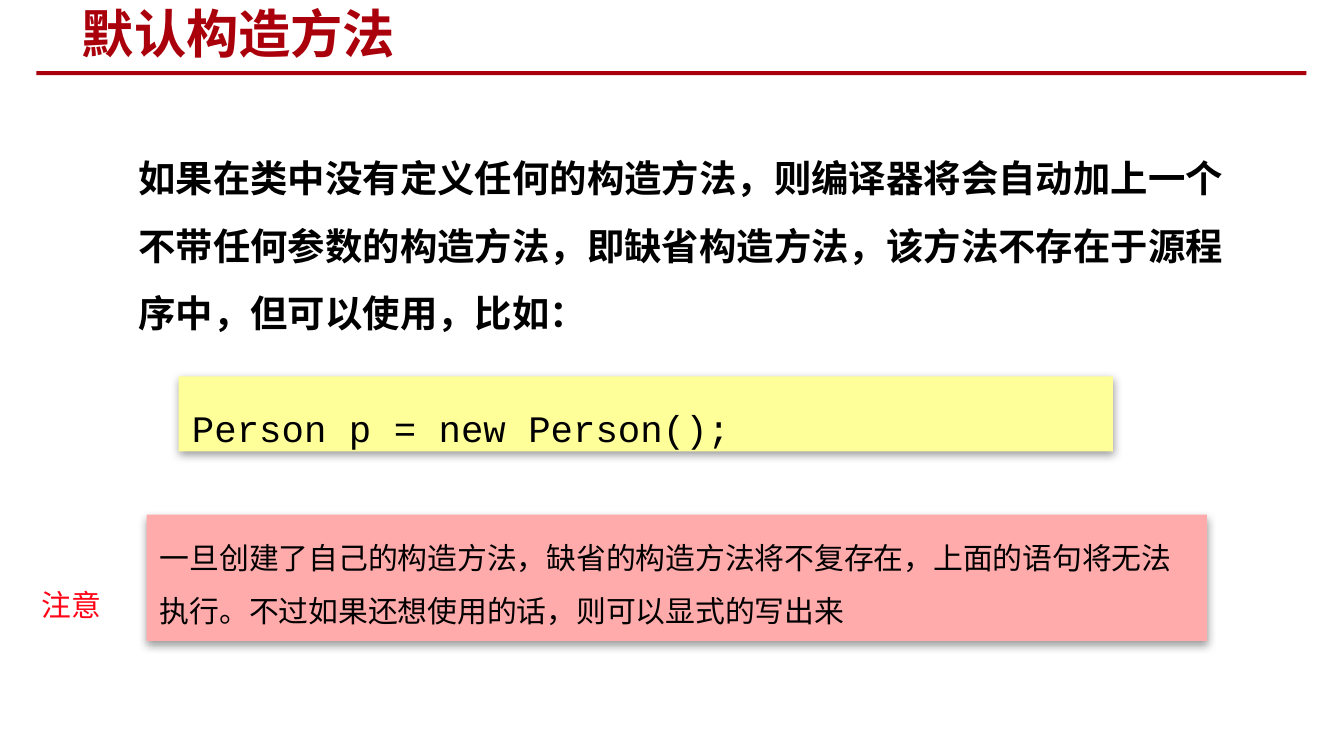
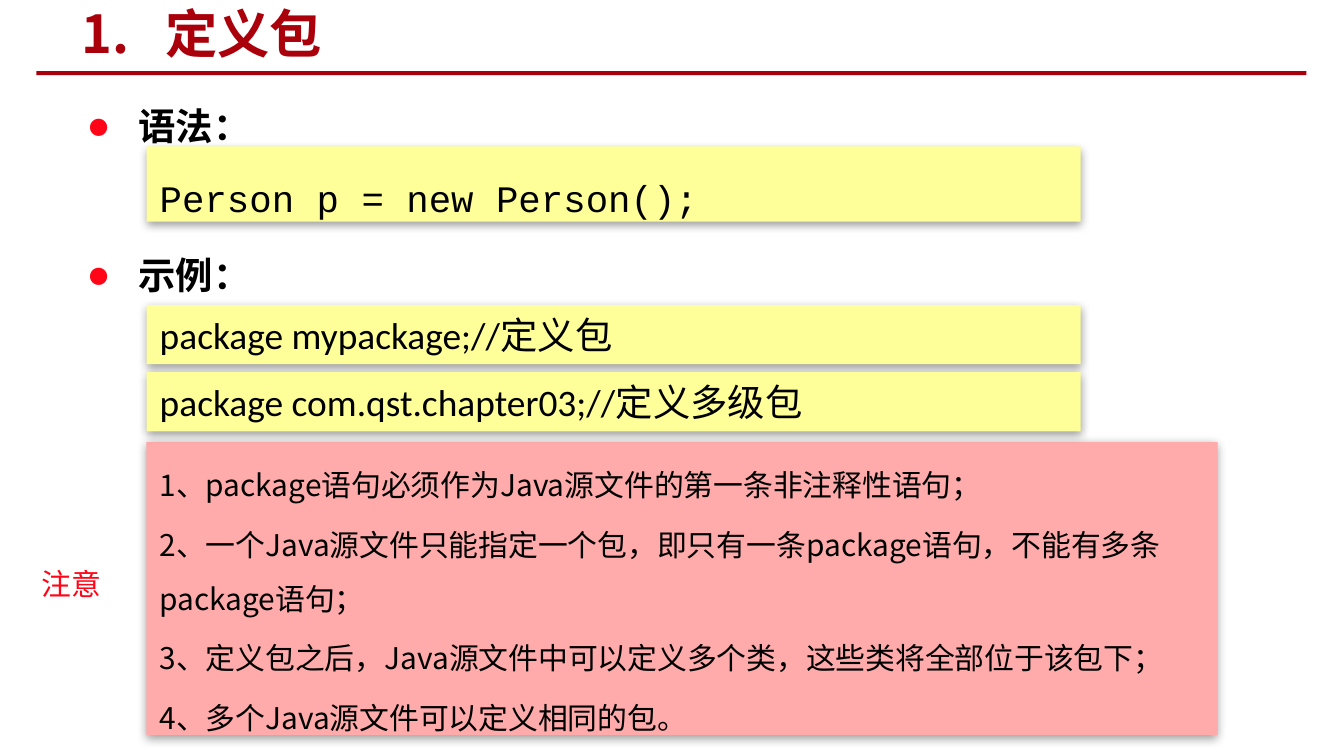
from lxml import etree
from pptx import Presentation
from pptx.dml.color import RGBColor
from pptx.enum.shapes import MSO_SHAPE
from pptx.enum.text import MSO_ANCHOR, MSO_AUTO_SIZE, PP_ALIGN
from pptx.oxml import parse_xml
from pptx.oxml.ns import qn
from pptx.util import Inches, Pt

RECTANGLE = MSO_SHAPE.RECTANGLE
TOP, MIDDLE = MSO_ANCHOR.TOP, MSO_ANCHOR.MIDDLE
NO_AUTOFIT = MSO_AUTO_SIZE.NONE
LEFT = PP_ALIGN.LEFT

CHINESE_FONT = "Noto Sans CJK SC"
THEME = {
    "dark red": RGBColor(0xAA, 0x00, 0x0B),
    "red": RGBColor(0xFF, 0x05, 0x17),
    "black": RGBColor(0x00, 0x00, 0x00),
    "yellow": RGBColor(0xFF, 0xFF, 0x99),
    "pink": RGBColor(0xFF, 0xAA, 0xAB),
    # font, size, line height, gap between paragraphs (points), bold, colour
    "title": (CHINESE_FONT, 28, None, 0, True, "dark red"),
    "body": (CHINESE_FONT, 20, 36, 44, True, "black"),
    "note": (CHINESE_FONT, 16, 28.8, 3.2, False, "black"),
    "label": (CHINESE_FONT, 16, 19, 0, False, "red"),
    "code": ("Courier New", 20, 36, 0, False, "black"),
    "package": ("Calibri", 20, 24, 0, False, "black"),
}
BODY_INDENT = Inches(0.38)
NAMESPACE = 'xmlns:a="http://schemas.openxmlformats.org/drawingml/2006/main"'
SHADOW = (
    f'<a:effectLst {NAMESPACE}>'
    f'<a:outerShdw blurRad="{Pt(5)}" dist="{Pt(1.6)}" dir="5400000" rotWithShape="0">'
    '<a:srgbClr val="000000"><a:alpha val="38000"/></a:srgbClr>'
    '</a:outerShdw></a:effectLst>'
)

SLIDES = [
    {
        "title": "默认构造方法",
        "body top": 0.94,
        "bulleted": False,
        "body": ["如果在类中没有定义任何的构造方法，则编译器将会自动加上一个不带任何参数的"
                 "构造方法，即缺省构造方法，该方法不存在于源程序中，但可以使用，比如："],
        "boxes": [
            ("note", "pink", (1.09, 3.83, 7.89, 0.94),
             ["一旦创建了自己的构造方法，缺省的构造方法将不复存在，上面的语句将无法执行。"
              "不过如果还想使用的话，则可以显式的写出来"]),
            ("code", "yellow", (1.33, 2.8, 6.95, 0.56), ["Person p = new Person();"]),
        ],
        "label top": 4.32,
    },
    {
        "title": "1.\t定义包",
        "body top": 0.55,
        "bulleted": True,
        "body": ["语法：", "示例："],
        "boxes": [
            ("note", "pink", (1.09, 3.29, 7.97, 2.18),
             ["1、package语句必须作为Java源文件的第一条非注释性语句；",
              "2、一个Java源文件只能指定一个包，即只有一条package语句，不能有多条package语句；",
              "3、定义包之后，Java源文件中可以定义多个类，这些类将全部位于该包下；",
              "4、多个Java源文件可以定义相同的包。"]),
            ("code", "yellow", (1.09, 1.09, 6.95, 0.56), ["Person p = new Person();"]),
            ("package", "yellow", (1.09, 2.27, 6.95, 0.44), ["package mypackage;//定义包"]),
            ("package", "yellow", (1.09, 2.77, 6.95, 0.44),
             ["package com.qst.chapter03;//定义多级包"]),
        ],
        "label top": 4.16,
    },
]


def write_text(shape, lines, style, anchor=TOP, wrap=True):
    """Fill a shape with one paragraph per line in a style of the theme."""
    font_name, size, line_height, gap, bold, color = THEME[style]
    frame = shape.text_frame
    frame.text = "\n".join(lines)
    frame.word_wrap = wrap
    frame.auto_size = NO_AUTOFIT
    frame.vertical_anchor = anchor
    for number, paragraph in enumerate(frame.paragraphs):
        paragraph.alignment = LEFT
        paragraph.space_before = Pt(gap if number else 0)
        if line_height:
            paragraph.line_spacing = Pt(line_height)
        for run in paragraph.runs:
            run.font.name = font_name
            run.font.size = Pt(size)
            run.font.bold = bold
            run.font.color.rgb = THEME[color]
            east_asian = etree.SubElement(run.font._element, qn("a:ea"))
            east_asian.set("typeface", CHINESE_FONT)


def set_indent(paragraph, bulleted):
    """Indent a body paragraph, with a hanging round bullet if asked for."""
    properties = paragraph._p.get_or_add_pPr()
    properties.set("marL", str(BODY_INDENT))
    properties.set("indent", str(-BODY_INDENT if bulleted else 0))
    if not bulleted:
        etree.SubElement(properties, qn("a:buNone"))
        return
    bullet_color = etree.SubElement(properties, qn("a:buClr"))
    etree.SubElement(bullet_color, qn("a:srgbClr")).set("val", str(THEME["red"]))
    etree.SubElement(properties, qn("a:buFont")).set("typeface", "Calibri")
    etree.SubElement(properties, qn("a:buChar")).set("char", "●")


presentation = Presentation()
presentation.slide_width = Inches(10)
presentation.slide_height = Inches(10 * 9 / 16)
layout = presentation.slide_layouts[1]

layout_title = layout.placeholders[0]
layout_title.left, layout_title.top = Inches(0.51), Inches(0.02)
layout_title.width, layout_title.height = Inches(5.3), Inches(0.45)

for content in SLIDES:
    slide = presentation.slides.add_slide(layout)

    # The line under the title is drawn once and moved to the layout
    if content is SLIDES[0]:
        title_line = slide.shapes.add_shape(
            RECTANGLE, Inches(0.27), Inches(0.53), Inches(9.45), Inches(0.03))
        title_line.shadow.inherit = False
        title_line.fill.solid()
        title_line.fill.fore_color.rgb = THEME["dark red"]
        title_line.line.fill.background()
        layout.shapes.element.append(title_line.element)

    title = slide.shapes.title
    write_text(title, [content["title"]], "title", MIDDLE)
    if "\t" in content["title"]:
        title_properties = title.text_frame.paragraphs[0]._p.get_or_add_pPr()
        tab_list = etree.SubElement(title_properties, qn("a:tabLst"))
        tab = etree.SubElement(tab_list, qn("a:tab"))
        tab.set("pos", str(Inches(0.62)))
        tab.set("algn", "l")

    body = slide.placeholders[1]
    body.left, body.top = Inches(0.55), Inches(content["body top"])
    body.width, body.height = Inches(8.9), Inches(4.69)
    write_text(body, content["body"], "body")
    for paragraph in body.text_frame.paragraphs:
        set_indent(paragraph, content["bulleted"])

    for style, fill, position, lines in content["boxes"]:
        box = slide.shapes.add_shape(RECTANGLE, *map(Inches, position))
        box.fill.solid()
        box.fill.fore_color.rgb = THEME[fill]
        box.line.fill.background()
        box.element.spPr.append(parse_xml(SHADOW))
        write_text(box, lines, style)

    label = slide.shapes.add_textbox(
        Inches(0.21), Inches(content["label top"]), Inches(0.65), Inches(0.37))
    write_text(label, ["注意"], "label", wrap=False)

presentation.save("out.pptx")
